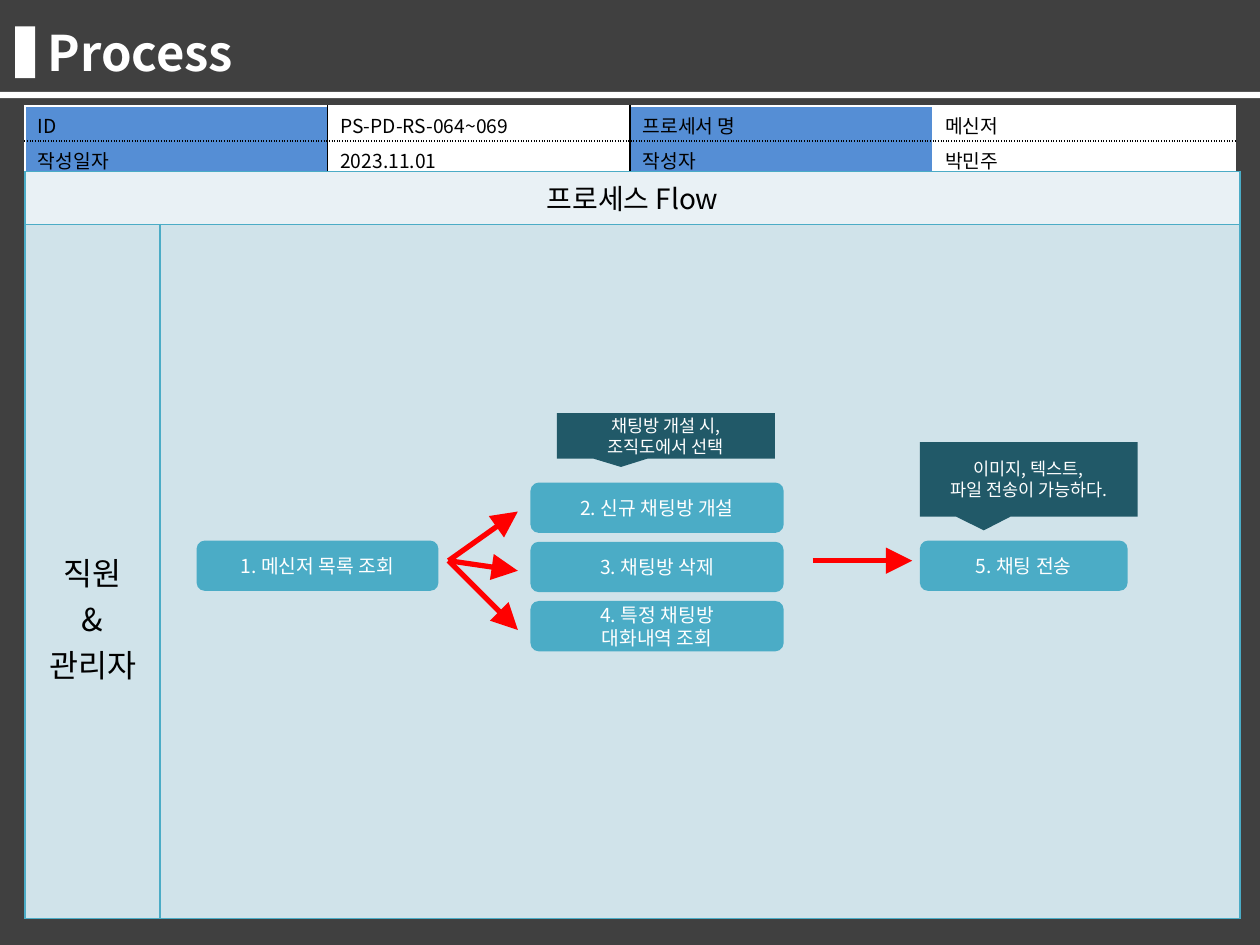
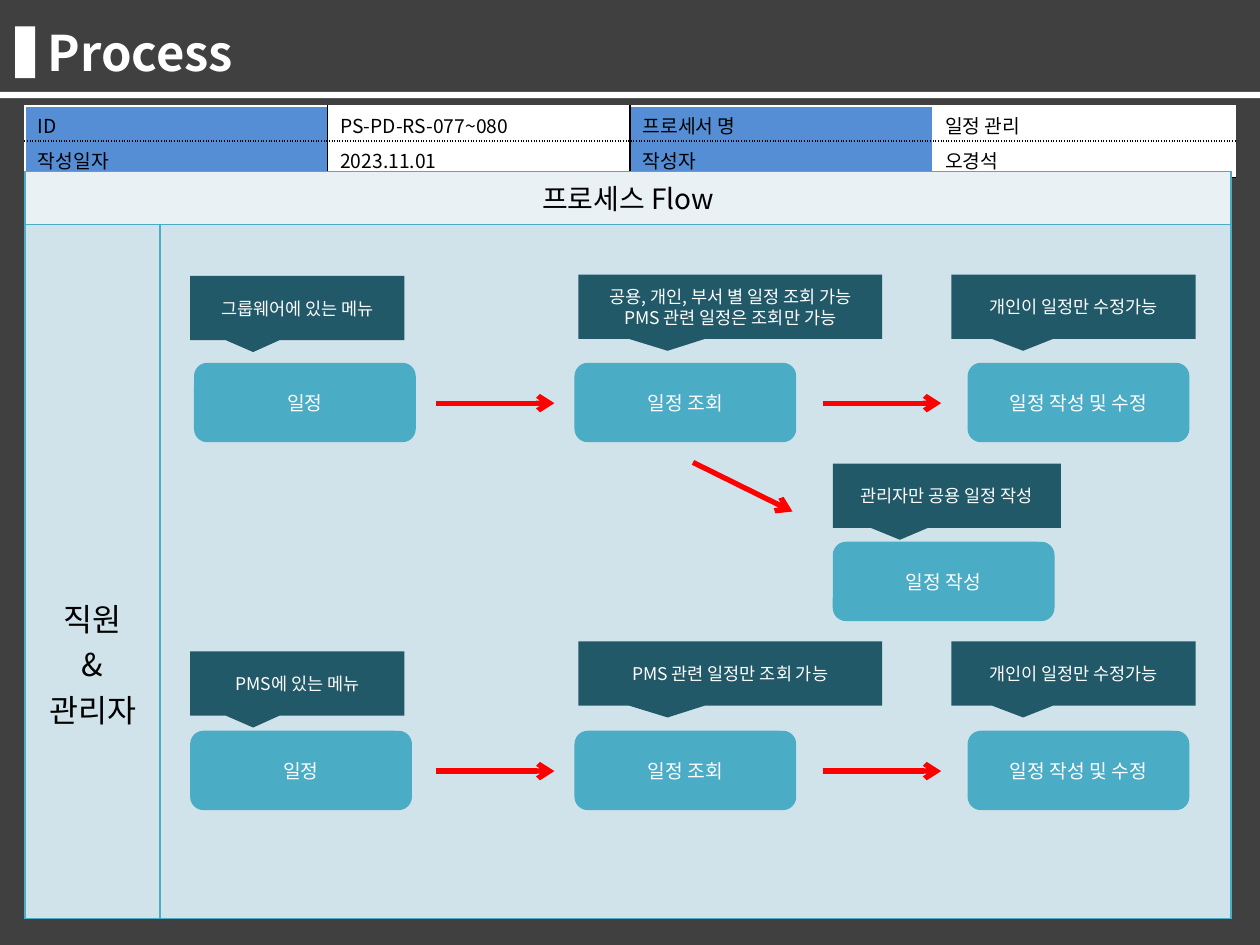
from lxml.etree import SubElement
from pptx import Presentation
from pptx.dml.color import RGBColor
from pptx.enum.shapes import MSO_CONNECTOR, MSO_SHAPE
from pptx.enum.text import MSO_ANCHOR, MSO_AUTO_SIZE, PP_ALIGN
from pptx.oxml.ns import qn
from pptx.util import Inches, Pt

FONT = "Noto Sans CJK KR"
WHITE, BLACK, RED = "FFFFFF", "000000", "FF0000"
BACKGROUND, LABEL_BLUE = "404040", "558ED5"
TEAL, DARK_TEAL = "4BACC6", "215968"
HEADER_TINT, BODY_TINT = "E9F1F5", "D0E3EA"
LABEL_LINE = 0.36


def color(value):
    """Turn a hex string into a colour."""
    return RGBColor.from_string(value)


def style_text(frame, size, text_color, align=PP_ALIGN.LEFT, bold=False):
    """Format every paragraph of a text frame."""
    for paragraph in frame.paragraphs:
        paragraph.alignment = align
        font = paragraph.font
        font.name, font.size, font.bold = FONT, Pt(size), bold
        font.color.rgb = color(text_color)
        properties = paragraph._p.pPr.find(qn("a:defRPr"))
        SubElement(properties, qn("a:ea"), typeface=FONT)


def add_block(slide, kind, box, fill, text="", size=11):
    """Add a filled shape without outline, with centred white text."""
    shape = slide.shapes.add_shape(kind, *map(Inches, box))
    shape.shadow.inherit = False
    shape.fill.solid()
    shape.fill.fore_color.rgb = color(fill)
    shape.line.fill.background()
    if text:
        frame = shape.text_frame
        frame.text = text
        frame.word_wrap = True
        frame.vertical_anchor = MSO_ANCHOR.MIDDLE
        style_text(frame, size, WHITE, PP_ALIGN.CENTER)
    return shape


def add_step(slide, box, text):
    """Add a rounded process step."""
    add_block(slide, MSO_SHAPE.ROUNDED_RECTANGLE, box, TEAL, text)


def add_note(slide, box, text):
    """Add a dark callout that points down to a step."""
    shape = add_block(slide, MSO_SHAPE.RECTANGULAR_CALLOUT, box, DARK_TEAL, text, 10)
    shape.adjustments[0] = -0.206
    shape.adjustments[1] = 0.685


def add_arrow(slide, start, end, head, size="med"):
    """Add a red arrow between two points."""
    connector = slide.shapes.add_connector(
        MSO_CONNECTOR.STRAIGHT, *map(Inches, start + end))
    connector.line.color.rgb = color(RED)
    connector.line.width = Pt(3)
    properties = connector.element.spPr
    SubElement(properties.find(qn("a:ln")), qn("a:tailEnd"),
               type=head, w=size, len=size)
    SubElement(properties, qn("a:effectLst"))


def style_cell(cell, fill, borders):
    """Give a cell its fill and its left, right, top and bottom borders."""
    properties = cell._tc.get_or_add_tcPr()
    for side, (line_color, dash) in zip("LRTB", borders):
        line = SubElement(properties, qn(f"a:ln{side}"), w=str(Pt(1)))
        solid = SubElement(line, qn("a:solidFill"))
        SubElement(solid, qn("a:srgbClr"), val=line_color)
        SubElement(line, qn("a:prstDash"), val=dash)
    cell.fill.solid()
    cell.fill.fore_color.rgb = color(fill)


def add_plain_table(slide, box, widths, heights):
    """Add a table without banding and return it."""
    table = slide.shapes.add_table(
        len(heights), len(widths), *map(Inches, box)).table
    table.first_row = table.horz_banding = False
    for column, width in zip(table.columns, widths):
        column.width = Inches(width)
    for row, height in zip(table.rows, heights):
        row.height = Inches(height)
    return table


def add_info_table(slide, rows):
    """Add the table that identifies the process."""
    table = add_plain_table(
        slide, (0.2, 0.84, 9.6, 0.57), [2.4] * 4, [0.28, 0.29])
    vertical = [(edge, "solid") for edge in (WHITE, BLACK, BLACK, WHITE, WHITE)]
    horizontal = [(WHITE, "solid"), (BLACK, "sysDot"), (BLACK, "solid")]
    for row, texts in enumerate(rows):
        for column, text in enumerate(texts):
            cell = table.cell(row, column)
            cell.text = text
            cell.margin_top, cell.margin_bottom = Inches(0.04), 0
            style_text(cell.text_frame, 11, BLACK)
            style_cell(cell, WHITE if column % 2 else LABEL_BLUE,
                       vertical[column:column + 2] + horizontal[row:row + 2])


def add_flow_table(slide, width, lines_above):
    """Add the frame of the flow with its heading and its role label."""
    table = add_plain_table(
        slide, (0.2, 1.36, width, 5.93), [1.07, width - 1.07], [0.42, 5.51])
    for row, fill in enumerate((HEADER_TINT, BODY_TINT)):
        for column in range(2):
            style_cell(table.cell(row, column), fill, [(TEAL, "solid")] * 4)
    heading, label = table.cell(0, 0), table.cell(1, 0)
    heading.merge(table.cell(0, 1))
    heading.text = "프로세스 Flow"
    style_text(heading.text_frame, 16, BLACK, PP_ALIGN.CENTER)
    label.text = "직원\n&\n관리자"
    label.margin_top = Inches(0.06 + lines_above * LABEL_LINE)
    style_text(label.text_frame, 18, BLACK, PP_ALIGN.CENTER)


def add_process_slide(presentation, code, name, author, flow_width, lines_above):
    """Add a slide with the shared title, bands and tables."""
    slide = presentation.slides.add_slide(presentation.slide_layouts[5])
    slide.background.fill.solid()
    slide.background.fill.fore_color.rgb = color(BACKGROUND)
    title = slide.shapes.title
    title.left, title.top = Inches(0.28), Inches(0.13)
    title.width, title.height = Inches(8.98), Inches(0.57)
    frame = title.text_frame
    frame.text = "Process"
    frame.auto_size = MSO_AUTO_SIZE.NONE
    frame.vertical_anchor = MSO_ANCHOR.TOP
    style_text(frame, 28, WHITE, bold=True)
    for box in ((0.12, 0.21, 0.16, 0.41), (0, 0.73, 10, 0.05)):
        add_block(slide, MSO_SHAPE.RECTANGLE, box, WHITE)
    add_info_table(slide, [("ID", code, "프로세서 명", name),
                           ("작성일자", "2023.11.01", "작성자", author)])
    add_flow_table(slide, flow_width, lines_above)
    return slide


def add_messenger_slide(presentation):
    """Add the messenger process."""
    slide = add_process_slide(
        presentation, "PS-PD-RS-064~069", "메신저", "박민주", 9.64, 7)
    add_step(slide, (1.56, 4.29, 1.92, 0.4), "1. 메신저 목록 조회")
    add_step(slide, (7.3, 4.29, 1.65, 0.4), "5. 채팅 전송")
    choices = ("2. 신규 채팅방 개설", "3. 채팅방 삭제", "4. 특정 채팅방\n대화내역 조회")
    for index, text in enumerate(choices):
        add_step(slide, (4.21, 3.83 + 0.47 * index, 2.01, 0.4), text)
        add_arrow(slide, (3.56, 4.45), (4.11, 4.06 + 0.47 * index), "triangle", "lg")
    add_arrow(slide, (6.45, 4.45), (7.24, 4.45), "triangle", "lg")
    add_note(slide, (7.3, 3.51, 1.73, 0.59), "이미지, 텍스트,\n파일 전송이 가능하다.")
    add_note(slide, (4.42, 3.28, 1.73, 0.36), "채팅방 개설 시,\n조직도에서 선택")


def add_schedule_row(slide, top, first_left, first_note, notes_top, notes):
    """Add a row of three steps with notes above and arrows between."""
    lefts = (first_left, 4.56, 7.68)
    for left, text in zip(lefts, ("일정", "일정 조회", "일정 작성 및 수정")):
        add_step(slide, (left, top, 1.76, 0.63), text)
    for left in (3.46, 6.53):
        add_arrow(slide, (left, top + 0.32), (left + 0.94, top + 0.32), "arrow")
    places = ((1.51, first_note, 1.7), (4.59, notes_top, 2.41), (7.55, notes_top, 1.94))
    for place, text in zip(places, notes):
        add_note(slide, place + (0.51,), text)


def add_schedule_slide(presentation):
    """Add the schedule management process."""
    slide = add_process_slide(
        presentation, "PS-PD-RS-077~080", "일정 관리", "오경석", 9.57, 8)
    edit_note = "개인이 일정만 수정가능"
    add_schedule_row(slide, 2.88, 1.54, 2.19, 2.18, (
        "그룹웨어에 있는 메뉴",
        "공용, 개인, 부서 별 일정 조회 가능\nPMS 관련 일정은 조회만 가능",
        edit_note))
    add_schedule_row(slide, 5.8, 1.51, 5.17, 5.09, (
        "PMS에 있는 메뉴", "PMS 관련 일정만 조회 가능", edit_note))
    add_arrow(slide, (5.5, 3.67), (6.29, 4.06), "arrow")
    add_step(slide, (6.61, 4.3, 1.76, 0.63), "일정 작성")
    add_note(slide, (6.61, 3.68, 1.81, 0.51), "관리자만 공용 일정 작성")


def main():
    """Build and save the presentation."""
    presentation = Presentation()
    presentation.slide_width = Inches(10)
    presentation.slide_height = Inches(7.5)
    add_messenger_slide(presentation)
    add_schedule_slide(presentation)
    presentation.save("out.pptx")


main()
